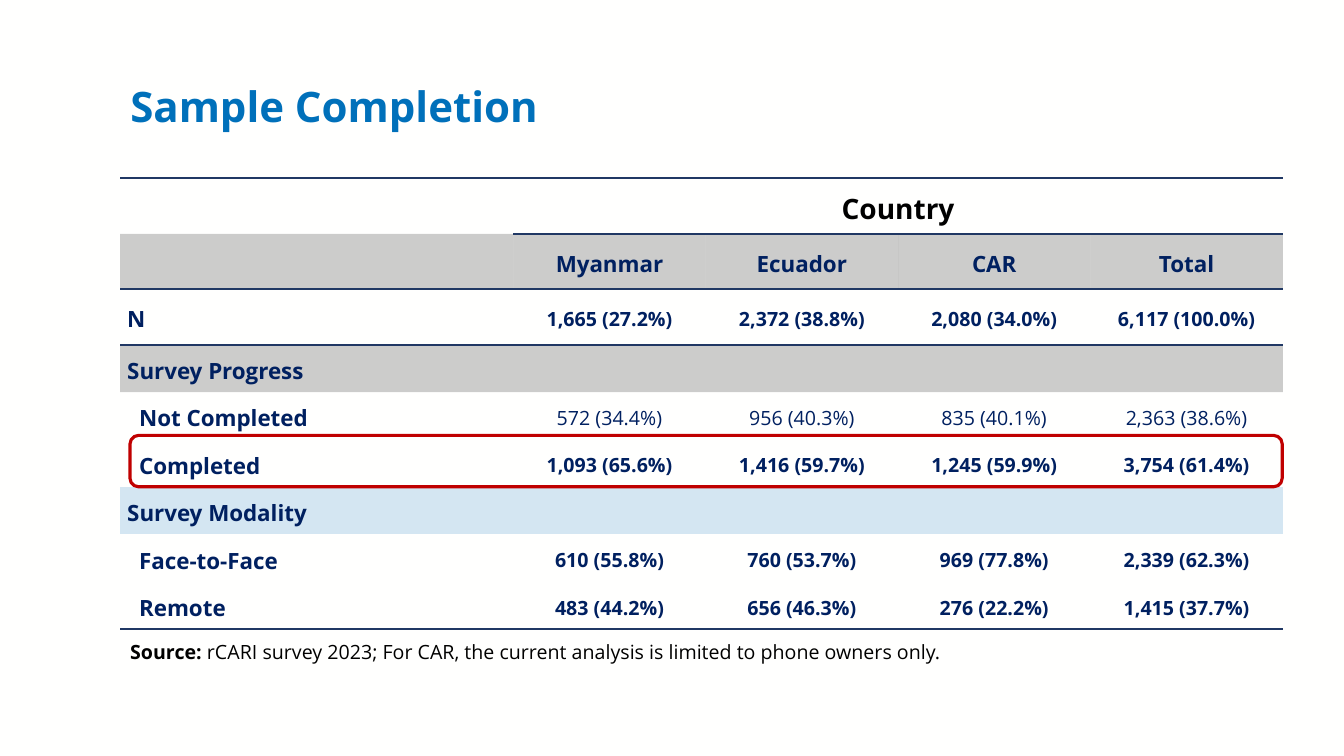
from lxml import etree
from pptx import Presentation
from pptx.dml.color import RGBColor
from pptx.enum.shapes import MSO_SHAPE
from pptx.enum.text import MSO_ANCHOR, PP_ALIGN
from pptx.oxml.ns import qn
from pptx.util import Pt

MIDDLE = MSO_ANCHOR.MIDDLE
LEFT, CENTER, JUSTIFY = PP_ALIGN.LEFT, PP_ALIGN.CENTER, PP_ALIGN.JUSTIFY
ROUNDED_RECTANGLE = MSO_SHAPE.ROUNDED_RECTANGLE

BACKGROUND = RGBColor(0xFF, 0xFF, 0xFE)
TITLE_BLUE = RGBColor(0x00, 0x70, 0xBA)
NAVY = RGBColor(0x00, 0x20, 0x60)
RULE_BLUE = RGBColor(0x20, 0x38, 0x64)
PALE_BLUE = RGBColor(0xD4, 0xE6, 0xF2)
RED = RGBColor(0xC0, 0x00, 0x00)
BLACK = RGBColor(0x00, 0x00, 0x00)

FONT = "Open Sans"
NO_STYLE = "{2D5ABB26-0587-4C30-8999-92F81FD0307C}"
COLUMN_WIDTHS = [280.8] + [137.4] * 4
ROW_HEIGHTS = [39.6] * 3 + [33.9] * 6
INDENT = 8.5

ROWS = [
    ["", "Country", "", "", ""],
    ["", "Myanmar", "Ecuador", "CAR", "Total"],
    ["N", "1,665 (27.2%)", "2,372 (38.8%)", "2,080 (34.0%)", "6,117 (100.0%)"],
    ["Survey Progress", "", "", "", ""],
    ["Not Completed", "572 (34.4%)", "956 (40.3%)", "835 (40.1%)", "2,363 (38.6%)"],
    ["Completed", "1,093 (65.6%)", "1,416 (59.7%)", "1,245 (59.9%)", "3,754 (61.4%)"],
    ["Survey Modality", "", "", "", ""],
    ["Face-to-Face", "610 (55.8%)", "760 (53.7%)", "969 (77.8%)", "2,339 (62.3%)"],
    ["Remote", "483 (44.2%)", "656 (46.3%)", "276 (22.2%)", "1,415 (37.7%)"],
]
COUNTRY, HEADINGS, TOTALS, PROGRESS, NOT_COMPLETED, COMPLETED, MODALITY, FACE, REMOTE = range(9)
INDENTED = {NOT_COMPLETED, COMPLETED, FACE, REMOTE}
RULES_ABOVE = {COUNTRY, HEADINGS, TOTALS}
RULES_BELOW = {COUNTRY, HEADINGS, REMOTE}


def add_text(paragraph, text, size=14, color=NAVY, bold=True, align=LEFT, spacing=1.15):
    paragraph.alignment = align
    paragraph.line_spacing = spacing
    run = paragraph.add_run()
    run.text = text
    run.font.name = FONT
    run.font.size = Pt(size)
    run.font.bold = bold
    run.font.color.rgb = color


def fill_cell(cell, color=None, opacity=100):
    if color is None:
        cell.fill.background()
        return
    cell.fill.solid()
    cell.fill.fore_color.rgb = color
    if opacity < 100:
        color_element = cell._tc.tcPr.find(".//" + qn("a:srgbClr"))
        etree.SubElement(color_element, qn("a:alpha"), val=str(opacity * 1000))


def add_borders(cell, sides):
    for position, side in enumerate(sides):
        line = etree.Element(qn("a:" + side), w=str(Pt(1.5)))
        solid = etree.SubElement(line, qn("a:solidFill"))
        etree.SubElement(solid, qn("a:srgbClr"), val=str(RULE_BLUE))
        cell._tc.get_or_add_tcPr().insert(position, line)


def format_cell(cell, row, column):
    if row in (HEADINGS, PROGRESS):
        fill_cell(cell, BLACK, opacity=20)
    elif row == MODALITY:
        fill_cell(cell, PALE_BLUE)
    elif row == COUNTRY and column > 0:
        fill_cell(cell, BACKGROUND)
    else:
        fill_cell(cell)

    corner = column == 0
    sides = []
    if row in RULES_ABOVE and not (corner and row == HEADINGS):
        sides.append("lnT")
    if row in RULES_BELOW and not (corner and row == COUNTRY):
        sides.append("lnB")
    add_borders(cell, sides)

    cell.vertical_anchor = MIDDLE
    cell.margin_left = Pt(5 + INDENT if corner and row in INDENTED else 5)
    cell.margin_right = Pt(5)
    cell.margin_top = cell.margin_bottom = Pt(0)


def add_cell_text(cell, row, column):
    paragraph = cell.text_frame.paragraphs[0]
    text = ROWS[row][column]
    if row == COUNTRY:
        add_text(paragraph, text, size=20, color=BLACK, align=CENTER)
    elif column == 0:
        add_text(paragraph, text, size=16)
    elif row == HEADINGS:
        add_text(paragraph, text, size=16, align=CENTER)
    else:
        add_text(paragraph, text, bold=row != NOT_COMPLETED, align=CENTER)


def add_sample_table(slide):
    frame = slide.shapes.add_table(
        len(ROWS), len(COLUMN_WIDTHS), Pt(85.9), Pt(127.4),
        Pt(sum(COLUMN_WIDTHS)), Pt(sum(ROW_HEIGHTS)))
    table = frame.table
    table.first_row = False
    table.horz_banding = False
    table._tbl.tblPr.find(qn("a:tableStyleId")).text = NO_STYLE
    for column, width in zip(table.columns, COLUMN_WIDTHS):
        column.width = Pt(width)
    for row, height in zip(table.rows, ROW_HEIGHTS):
        row.height = Pt(height)
    for row, texts in enumerate(ROWS):
        for column, text in enumerate(texts):
            cell = table.cell(row, column)
            format_cell(cell, row, column)
            if text:
                add_cell_text(cell, row, column)
    table.cell(COUNTRY, 1).merge(table.cell(COUNTRY, 4))
    for row in (PROGRESS, MODALITY):
        table.cell(row, 0).merge(table.cell(row, 4))


def add_title(slide, text):
    title = slide.shapes.title
    title.left, title.top, title.width, title.height = Pt(85.9), Pt(41.8), Pt(830.2), Pt(71.3)
    title.text_frame.vertical_anchor = MIDDLE
    add_text(title.text_frame.paragraphs[0], text, size=30, color=TITLE_BLUE, spacing=0.9)


def add_source_note(slide):
    box = slide.shapes.add_textbox(Pt(85.9), Pt(450.7), Pt(830.9), Pt(25.2))
    box.text_frame.word_wrap = True
    paragraph = box.text_frame.paragraphs[0]
    add_text(paragraph, "Source:", color=BLACK, align=JUSTIFY)
    add_text(paragraph,
             " rCARI survey 2023; For CAR, the current analysis is limited to phone owners only.",
             color=BLACK, bold=False, align=JUSTIFY)


def add_highlight(slide):
    shape = slide.shapes.add_shape(
        ROUNDED_RECTANGLE, Pt(92.9), Pt(311), Pt(823), Pt(36.7))
    shape.shadow.inherit = False
    shape.fill.background()
    shape.line.color.rgb = RED
    shape.line.width = Pt(2.25)


def main():
    presentation = Presentation()
    presentation.slide_width, presentation.slide_height = Pt(960), Pt(540)
    slide = presentation.slides.add_slide(presentation.slide_layouts[5])
    slide.background.fill.solid()
    slide.background.fill.fore_color.rgb = BACKGROUND
    add_title(slide, "Sample Completion")
    add_sample_table(slide)
    add_source_note(slide)
    add_highlight(slide)
    presentation.save("out.pptx")


if __name__ == "__main__":
    main()
